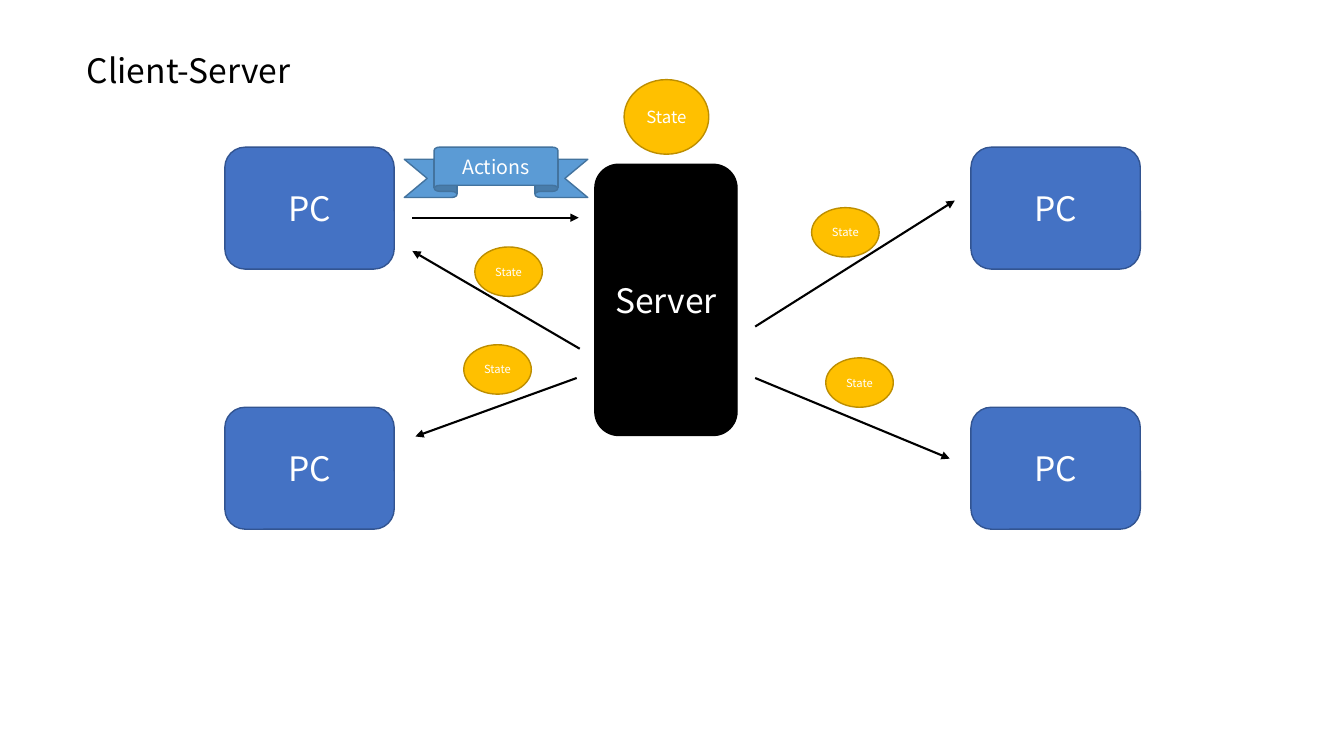
import dataclasses
import itertools

import pptx
import pptx.dml.color
import pptx.enum.shapes
import pptx.enum.text
import pptx.oxml
import pptx.oxml.ns
import pptx.shapes.autoshape
import pptx.slide
import pptx.text.text
import pptx.util

EMU_PER_PX = 9144  # 100 px to the inch
FONT = "Noto Sans CJK KR"
COLORS = {
    "black": "000000",
    "white": "FFFFFF",
    "pc": "4472C4",
    "pc_edge": "325491",
    "actions": "5B9BD5",
    "actions_edge": "43739E",
    "state": "FFC000",
    "state_edge": "BD8E00",
}
SHAPES = pptx.enum.shapes.MSO_SHAPE


@dataclasses.dataclass(frozen=True)
class Style:
    shape: pptx.enum.shapes.MSO_SHAPE
    fill: str
    edge: str
    adjustments: tuple[float, ...] = ()


@dataclasses.dataclass(frozen=True)
class Node:
    text: str
    style: Style
    left: int
    top: int
    width: int
    height: int
    size: int = 24


@dataclasses.dataclass(frozen=True)
class Arrow:
    start: tuple[int, int]
    end: tuple[int, int]


PC = Style(SHAPES.ROUNDED_RECTANGLE, "pc", "pc_edge")
SERVER = Style(SHAPES.ROUNDED_RECTANGLE, "black", "black")
ACTIONS = Style(SHAPES.UP_RIBBON, "actions", "actions_edge", (0.242, 0.674))
STATE = Style(SHAPES.OVAL, "state", "state_edge")

MACHINES = [
    Node("PC", PC, left, top, 168, 121)
    for left, top in itertools.product((223, 963), (146, 404))
] + [Node("Server", SERVER, 590, 163, 141, 269)]
ARROWS = [
    Arrow((409, 216), (574, 216)),
    Arrow((575, 346), (409, 249)),
    Arrow((572, 375), (412, 433)),
    Arrow((749, 324), (947, 199)),
    Arrow((749, 375), (942, 455)),
]
MESSAGES = [
    Node("Actions", ACTIONS, 401, 146, 182, 50, 14),
    Node("State", STATE, 619, 79, 84, 74, 12),
] + [
    Node("State", STATE, left, top, 67, 49, 8)
    for left, top in ((471, 245), (460, 342), (819, 355), (805, 206))
]


def px(length: int) -> pptx.util.Emu:
    return pptx.util.Emu(length * EMU_PER_PX)


def color(name: str) -> pptx.dml.color.RGBColor:
    return pptx.dml.color.RGBColor.from_string(COLORS[name])


def format_text(
    para: pptx.text.text._Paragraph,
    size: int,
    color_name: str,
    alignment: pptx.enum.text.PP_ALIGN,
) -> None:
    para.alignment = alignment
    para.font.name = FONT
    para.font.size = pptx.util.Pt(size)
    para.font.color.rgb = color(color_name)


def add_title(page: pptx.slide.Slide, text: str) -> None:
    title = page.shapes.title
    title.left, title.top, title.width, title.height = map(px, (76, 44, 294, 50))
    frame = title.text_frame
    frame.text = text
    frame.word_wrap = True
    frame.auto_size = pptx.enum.text.MSO_AUTO_SIZE.SHAPE_TO_FIT_TEXT
    frame.vertical_anchor = pptx.enum.text.MSO_ANCHOR.TOP
    format_text(frame.paragraphs[0], 24, "black", pptx.enum.text.PP_ALIGN.LEFT)


def add_node(page: pptx.slide.Slide, node: Node) -> None:
    style = node.style
    bounds = map(px, (node.left, node.top, node.width, node.height))
    box = page.shapes.add_shape(style.shape, *bounds)
    box.shadow.inherit = False
    for index, value in enumerate(style.adjustments):
        box.adjustments[index] = value
    box.fill.solid()
    box.fill.fore_color.rgb = color(style.fill)
    box.line.color.rgb = color(style.edge)
    box.line.width = pptx.util.Pt(1)
    frame = box.text_frame
    frame.text = node.text
    frame.word_wrap = True
    frame.margin_left = frame.margin_right = 0
    frame.margin_top = frame.margin_bottom = 0
    frame.vertical_anchor = pptx.enum.text.MSO_ANCHOR.MIDDLE
    format_text(
        frame.paragraphs[0], node.size, "white", pptx.enum.text.PP_ALIGN.CENTER
    )


def add_arrow(page: pptx.slide.Slide, arrow: Arrow) -> None:
    connector = page.shapes.add_connector(
        pptx.enum.shapes.MSO_CONNECTOR.STRAIGHT, *map(px, arrow.start + arrow.end)
    )
    connector.line.color.rgb = color("black")
    connector.line.width = pptx.util.Pt(1.5)
    namespace = pptx.oxml.ns.nsdecls("a")
    connector.line._get_or_add_ln().append(
        pptx.oxml.parse_xml(f'<a:tailEnd {namespace} type="triangle"/>')
    )
    connector._element.spPr.append(
        pptx.oxml.parse_xml(f"<a:effectLst {namespace}/>")
    )


def main() -> None:
    deck = pptx.Presentation()
    deck.slide_width, deck.slide_height = px(1333), px(750)
    page = deck.slides.add_slide(deck.slide_layouts.get_by_name("Title Only"))
    add_title(page, "Client-Server")
    for machine in MACHINES:
        add_node(page, machine)
    for arrow in ARROWS:
        add_arrow(page, arrow)
    for message in MESSAGES:
        add_node(page, message)
    deck.save("out.pptx")


if __name__ == "__main__":
    main()
